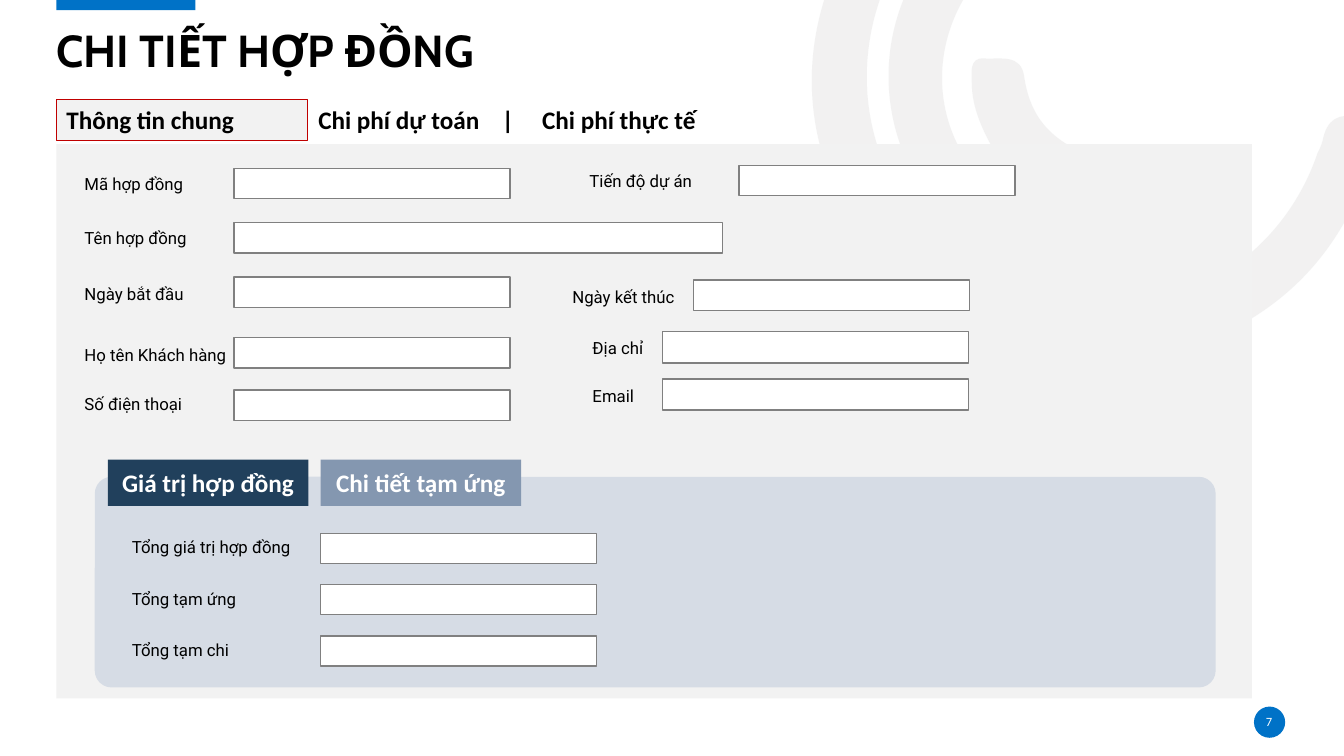
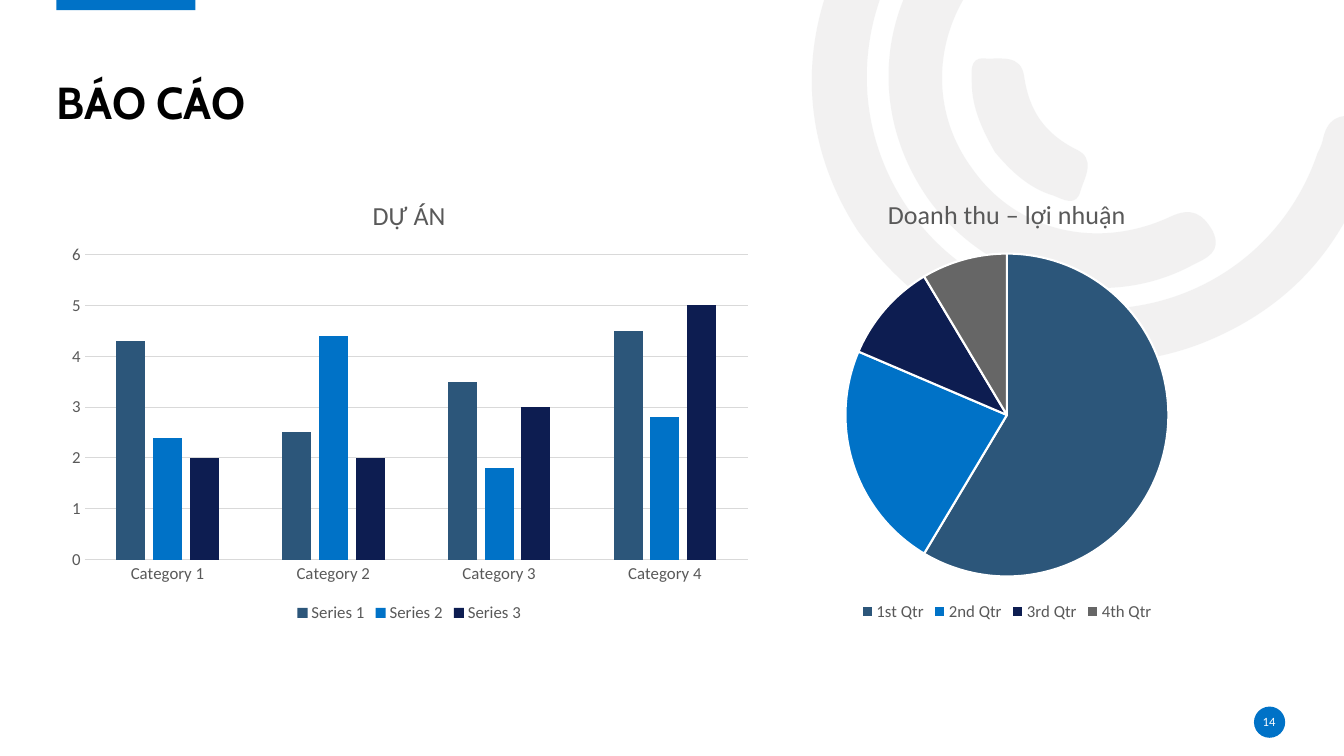
from math import cos, radians, sin
from lxml.etree import SubElement
from pptx import Presentation
from pptx.chart.data import CategoryChartData as ChartData
from pptx.dml.color import RGBColor as Rgb
from pptx.enum.chart import XL_CHART_TYPE as Kind, XL_LEGEND_POSITION as Place, XL_TICK_MARK as Tick
from pptx.enum.shapes import MSO_SHAPE as Form
from pptx.enum.text import MSO_ANCHOR as Anchor, MSO_AUTO_SIZE as Fit, PP_ALIGN as Align
from pptx.oxml import parse_xml
from pptx.oxml.ns import nsdecls, qn
from pptx.util import Inches, Pt

HUES = {
    "black": "000000", "white": "FFFFFF", "blue": "0072C7", "arc": "E7E6E6",
    "panel": "F2F2F2", "red": "C00000", "edge": "808080", "pale": "D6DCE5",
    "dark": "21405C", "slate": "8497B0", "gray": "595959", "grid": "D9D9D9",
    "steel": "2C567A", "navy": "0D1D51", "ash": "666666",
}
PARTS = ["steel", "blue", "navy", "ash"]
TURN = 144.2
ARCS = [
    ((8.13, -2.02, 4.85, 6),
     [(8.51, 2.29), (7.99, 1.49), (7.87, 0.5), (8.38, -0.5), (8.9, -1.52), (9.76, -2.03),
      (10.9, -2.07), (11.05, -2.07), (11.21, -2.1), (11.31, -1.95), (11.44, -1.75),
      (11.27, -1.54), (10.98, -1.54), (9.67, -1.54), (8.65, -0.59), (8.6, 0.68),
      (8.56, 1.81), (9.36, 2.81), (10.46, 3.02), (11.6, 3.24), (12.7, 2.61), (13.07, 1.52),
      (13.09, 1.48), (13.11, 1.44), (13.12, 1.4), (13.16, 1.19), (13.27, 1.11), (13.49, 1.17),
      (13.73, 1.24), (13.67, 1.41), (13.61, 1.56), (13.34, 2.45), (12.78, 3.07), (11.91, 3.41),
      (10.7, 3.87), (9.36, 3.45), (8.51, 2.29)]),
    ((9.01, -0.78, 2.13, 4.26),
     [(9.22, 1.99), (8.62, 1.15), (8.69, 0.07), (9.4, -0.68), (9.51, -0.79), (9.62, -0.95),
      (9.8, -0.78), (9.95, -0.64), (9.97, -0.5), (9.79, -0.32), (9.25, 0.26), (9.2, 1.08),
      (9.65, 1.68), (10.08, 2.29), (10.88, 2.49), (11.61, 2.15), (11.82, 2.05), (11.93, 2.12),
      (12.03, 2.29), (12.13, 2.5), (11.97, 2.56), (11.83, 2.63), (10.96, 3.1), (9.83, 2.82),
      (9.22, 1.99)]),
    ((9.8, 0.37, 0.78, 1.83),
     [(9.87, 1.51), (9.75, 1.3), (9.64, 1.07), (9.64, 0.82), (9.64, 0.73), (9.61, 0.57),
      (9.76, 0.58), (9.92, 0.59), (10.13, 0.53), (10.16, 0.76), (10.21, 1.1), (10.36, 1.32),
      (10.67, 1.48), (10.88, 1.57), (10.76, 1.76), (10.72, 1.89), (10.68, 2.06), (10.55, 1.98),
      (10.45, 1.94), (10.21, 1.87), (10.03, 1.7), (9.87, 1.51)]),
]
FIELDS = [
    ("Mã hợp đồng", 0.74, 1.67, 2.32, 1.67, 2.74),
    ("Tên hợp đồng", 0.74, 2.21, 2.32, 2.21, 4.85),
    ("Ngày bắt đầu", 0.74, 2.77, 2.32, 2.75, 2.74),
    ("Họ tên Khách hàng", 0.74, 3.37, 2.32, 3.35, 2.74),
    ("Số điện thoại", 0.74, 3.86, 2.32, 3.87, 2.74),
    ("Tiến độ dự án", 5.75, 1.64, 7.33, 1.64, 2.74),
    ("Ngày kết thúc", 5.58, 2.8, 6.88, 2.78, 2.74),
    ("Địa chỉ", 5.78, 3.3, 6.57, 3.29, 3.04, 0.31),
    ("Email", 5.78, 3.78, 6.57, 3.76, 3.04, 0.31),
]
TOTALS = ["Tổng giá trị hợp đồng", "Tổng tạm ứng", "Tổng tạm chi"]


def hue(name):
    """Return the named colour."""
    return Rgb.from_string(HUES[name])


def style(font, size, color, face="Calibri", bold=False):
    """Set the size, colour, face and weight of a font."""
    font.size, font.name, font.bold = Pt(size), face, bold
    font.color.rgb = hue(color)


def write(shape, text, size, color, face="Calibri", bold=False, align=Align.LEFT,
          anchor=Anchor.TOP, inset=True):
    """Put one styled paragraph into a shape."""
    frame = shape.text_frame
    frame.text, frame.word_wrap, frame.vertical_anchor = text, True, anchor
    if not inset:
        frame.margin_left = frame.margin_right = frame.margin_top = frame.margin_bottom = 0
    para = frame.paragraphs[0]
    para.alignment = align
    style(para.font, size, color, face, bold)
    return para


def paint(shape, fill, line=None, width=1):
    """Give a shape a flat fill and an optional outline."""
    shape.shadow.inherit = False
    shape.fill.solid()
    shape.fill.fore_color.rgb = hue(fill)
    if line:
        shape.line.color.rgb, shape.line.width = hue(line), Pt(width)
    else:
        shape.line.fill.background()
    return shape


def box(slide, at, fill, line=None, width=1, form=Form.RECTANGLE):
    """Add a filled preset shape."""
    return paint(slide.shapes.add_shape(form, *map(Inches, at)), fill, line, width)


def label(slide, at, text, size, color, **more):
    """Add a text box with one paragraph."""
    return write(slide.shapes.add_textbox(*map(Inches, at)), text, size, color, **more)


def field(slide, text, left, top, x, y, width, height=0.3):
    """Add a form label and its empty input box."""
    label(slide, (left, top, 1.97, 0.3), text, 12, "black", face="Roboto")
    box(slide, (x, y, width, height), "white", "edge")


def unturn(dot, at):
    """Return a point relative to the frame before its rotation."""
    left, top, width, height = at
    dx, dy = dot[0] - left - width / 2, dot[1] - top - height / 2
    c, s = cos(radians(TURN)), sin(radians(TURN))
    return Inches(dx * c + dy * s + width / 2), Inches(dy * c - dx * s + height / 2)


def arc(slide, at, dots):
    """Add a translucent, rotated outline of cubic curves."""
    dots = [unturn(dot, at) for dot in dots]
    pen = slide.shapes.build_freeform(*dots[0])
    pen.add_line_segments(dots[3::3], close=True)
    shape = paint(pen.convert_to_shape(), "arc")
    shape.left, shape.top, shape.width, shape.height = map(Inches, at)
    shape.rotation = TURN
    trail = shape.element.find(".//" + qn("a:path"))
    trail.set("w", str(shape.width))
    trail.set("h", str(shape.height))
    for old in list(trail):
        trail.remove(old)
    steps = [("a:moveTo", dots[:1])]
    steps += [("a:cubicBezTo", dots[i:i + 3]) for i in range(1, len(dots), 3)]
    for tag, group in steps + [("a:close", [])]:
        step = SubElement(trail, qn(tag))
        for x, y in group:
            point = SubElement(step, qn("a:pt"))
            point.set("x", str(int(x)))
            point.set("y", str(int(y)))
    tint = shape.element.spPr.find(".//" + qn("a:srgbClr"))
    SubElement(tint, qn("a:alpha")).set("val", "53000")
    return shape


def brand(slide, layout):
    """Draw the shared decoration and move it to the layout."""
    decor = [arc(slide, at, dots) for at, dots in ARCS]
    decor.append(box(slide, (0.56, -0.02, 1.38, 0.12), "blue"))
    decor.append(box(slide, (12.44, 7.01, 0.31, 0.31), "blue", form=Form.OVAL))
    for i, shape in enumerate(decor):
        shape.element.xpath(".//p:cNvPr")[0].set("id", str(50 + i))
        layout.shapes.element.insert(2 + i, shape.element)


def head(slide, text, height, number):
    """Fill the title placeholder and add the page number."""
    title = slide.shapes.title
    title.left, title.top, title.width, title.height = map(Inches, (0.56, 0.27, 12.19, height))
    para = write(title, text, 32, "black", "Cabin", True, anchor=Anchor.BOTTOM, inset=False)
    para.line_spacing = 0.9
    title.text_frame.auto_size = Fit.NONE
    label(slide, (12.43, 7.06, 0.32, 0.2), number, 9, "white", align=Align.CENTER,
          anchor=Anchor.MIDDLE, inset=False)


def stops(para, *places):
    """Set left tab stops on a paragraph."""
    tabs = SubElement(para._p.get_or_add_pPr(), qn("a:tabLst"))
    for place in places:
        tab = SubElement(tabs, qn("a:tab"))
        tab.set("pos", str(Inches(place)))
        tab.set("algn", "l")
    rest = para._p.pPr.find(qn("a:defRPr"))
    if rest is not None:
        rest.addprevious(tabs)


def form(slide):
    """Build the contract form."""
    box(slide, (0.56, 1.43, 11.86, 5.5), "panel")
    tab = box(slide, (0.56, 0.99, 2.49, 0.4), "panel", "red", 0.75)
    write(tab, "Thông tin chung", 18, "black", bold=True)
    para = label(slide, (3.06, 0.99, 8.64, 0.4), "Chi phí dự toán\t|\tChi phí thực tế",
                 18, "black", bold=True)
    stops(para, 1.82, 2.22)
    for row in FIELDS:
        field(slide, *row)
    card = box(slide, (0.94, 4.73, 11.12, 2.09), "pale", form=Form.ROUNDED_RECTANGLE)
    card.adjustments[0] = 0.08
    for x, text, fill in ((1.07, "Giá trị hợp đồng", "dark"), (3.18, "Chi tiết tạm ứng", "slate")):
        write(box(slide, (x, 4.56, 1.99, 0.46), fill), text, 18, "white", bold=True,
              align=Align.CENTER, anchor=Anchor.MIDDLE)
    for i, text in enumerate(TOTALS):
        y = 5.28 + 0.51 * i
        field(slide, text, 1.21, y, 3.18, y + 0.01, 2.74)


def chart(slide, kind, at, title, names, series, area):
    """Add a chart with a title, a bottom legend and a fixed plot area."""
    data = ChartData()
    data.categories = names
    for name, values in series:
        data.add_series(name, values)
    graph = slide.shapes.add_chart(kind, *map(Inches, at), data).chart
    style(graph.font, 10, "black")
    graph.has_title = graph.has_legend = True
    graph.chart_title.text_frame.text = title
    style(graph.chart_title.text_frame.paragraphs[0].font, 18.6, "gray")
    graph.legend.position, graph.legend.include_in_layout = Place.BOTTOM, False
    style(graph.legend.font, 12, "gray")
    plot = graph._chartSpace.chart.plotArea
    for old in plot.findall(qn("c:layout")):
        plot.remove(old)
    spots = "".join(f'<c:{k} val="{v}"/>' for k, v in zip("xywh", area))
    plot.insert(0, parse_xml(
        f'<c:layout {nsdecls("c")}><c:manualLayout><c:layoutTarget val="inner"/>'
        f'<c:xMode val="edge"/><c:yMode val="edge"/>{spots}</c:manualLayout></c:layout>'))
    return graph


def bars(slide):
    """Add the project column chart."""
    series = [("Series 1", (4.3, 2.5, 3.5, 4.5)), ("Series 2", (2.4, 4.4, 1.8, 2.8)),
              ("Series 3", (2, 2, 3, 5))]
    graph = chart(slide, Kind.COLUMN_CLUSTERED, (0.56, 1.77, 7, 4.45), "DỰ ÁN",
                  [f"Category {n}" for n in range(1, 5)], series, (0.04, 0.17, 0.94, 0.68))
    plot = graph.plots[0]
    plot.gap_width, plot.overlap, plot.vary_by_categories = 219, -27, False
    for item, color in zip(plot.series, PARTS):
        item.format.fill.solid()
        item.format.fill.fore_color.rgb = hue(color)
    for axis in (graph.category_axis, graph.value_axis):
        axis.major_tick_mark = axis.minor_tick_mark = Tick.NONE
        style(axis.tick_labels.font, 12, "gray")
    scale = graph.value_axis
    scale.format.line.fill.background()
    for line in (graph.category_axis.format.line, scale.major_gridlines.format.line):
        line.color.rgb, line.width = hue("grid"), Pt(0.75)


def pie(slide):
    """Add the revenue pie chart."""
    graph = chart(slide, Kind.PIE, (6.65, 1.76, 6.68, 4.45), "Doanh thu – lợi nhuận",
                  ["1st Qtr", "2nd Qtr", "3rd Qtr", "4th Qtr"],
                  [("Series 1", (8.2, 3.2, 1.4, 1.2))], (0.26, 0.17, 0.48, 0.72))
    for i, color in enumerate(PARTS):
        look = graph.plots[0].series[0].points[i].format
        look.fill.solid()
        look.fill.fore_color.rgb = hue(color)
        look.line.color.rgb, look.line.width = hue("white"), Pt(1.5)


def main():
    """Build and save both slides."""
    deck = Presentation()
    deck.slide_width, deck.slide_height = Inches(40 / 3), Inches(7.5)
    layout = deck.slide_layouts[5]
    first, second = (deck.slides.add_slide(layout) for _ in range(2))
    brand(first, layout)
    head(first, "CHI TIẾT HỢP ĐỒNG", 0.5, "7")
    form(first)
    head(second, "BÁO CÁO", 1.01, "14")
    bars(second)
    pie(second)
    deck.save("out.pptx")


if __name__ == "__main__":
    main()
